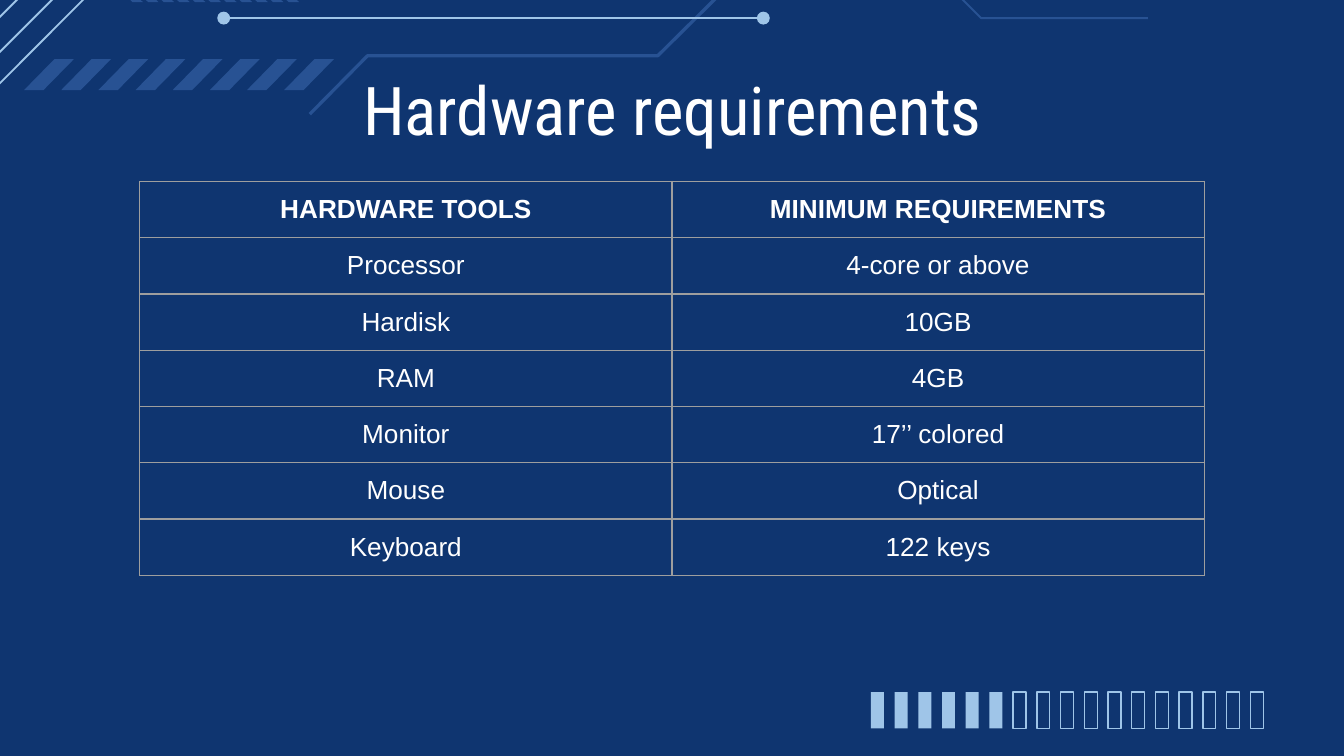
from collections import namedtuple

from lxml.etree import SubElement
from pptx import Presentation
from pptx.dml.color import RGBColor
from pptx.enum.shapes import MSO_CONNECTOR as Link, MSO_SHAPE as Shape
from pptx.enum.text import MSO_ANCHOR as Anchor, PP_ALIGN as Align
from pptx.oxml import parse_xml
from pptx.oxml.ns import nsdecls, qn
from pptx.util import Inches, Pt

# The slide is a grid of square units, 100 columns by 56.25 rows.
UNIT = Inches(0.1)
COLUMNS, ROWS = 100, 56.25
NAVY, BLUE, SKY, GREY, WHITE = "0F3570", "285293", "9FC5E8", "9E9E9E", "FFFFFF"
Box = namedtuple("Box", "left top width height")

HARDWARE = [
    ("HARDWARE TOOLS", "MINIMUM REQUIREMENTS"),
    ("Processor", "4-core or above"),
    ("Hardisk", "10GB"),
    ("RAM", "4GB"),
    ("Monitor", "17’’ colored"),
    ("Mouse", "Optical"),
    ("Keyboard", "122 keys"),
]


def color(value):
    return RGBColor.from_string(value)


def units(*values):
    return [round(value * UNIT) for value in values]


def set_line(shape, value, points):
    shape.line.color.rgb = color(value)
    shape.line.width = Pt(points)


def add_filled(page, kind, box, value):
    shape = page.shapes.add_shape(kind, *units(*box))
    shape.shadow.inherit = False
    shape.fill.solid()
    shape.fill.fore_color.rgb = color(value)
    shape.line.fill.background()
    return shape


def add_row(page, kind, box, count, width, value):
    """Spread equal shapes evenly from the left to the right edge of the box."""
    step = (box.width - width) / (count - 1)
    return [
        add_filled(page, kind, Box(box.left + i * step, box.top, width, box.height), value)
        for i in range(count)
    ]


def add_straight(page, start, end, value, points):
    line = page.shapes.add_connector(Link.STRAIGHT, *units(*start, *end))
    set_line(line, value, points)
    SubElement(line._element.spPr, qn("a:effectLst"))


def add_bent(page, corners, value, points):
    places = [units(*corner) for corner in corners]
    builder = page.shapes.build_freeform(*places[0])
    builder.add_line_segments(places[1:], close=False)
    shape = builder.convert_to_shape()
    shape.shadow.inherit = False
    shape.fill.background()
    set_line(shape, value, points)


def add_traces(page, box):
    """Circuit-like lines along the top, some running past the slide's edges."""
    def at(x, y):
        return box.left + x, box.top + y

    bends = [
        ([(-1.9, 8.1), (12.7, -6.55), (25.9, -6.55), (31.4, -1.05),
          (44.9, -1.05), (52.9, -9.05), (60.4, -9.05)], SKY, 1),
        ([(23.05, 8.5), (27.35, 4.15), (48.95, 4.15), (54.65, -1.5), (64.6, -1.5)], BLUE, 1.75),
        ([(58.5, -3.8), (67.85, -3.8), (73, 1.35), (85.4, 1.35)], BLUE, 1),
    ]
    for corners, value, points in bends:
        add_bent(page, [at(*corner) for corner in corners], value, points)

    for x, y in [(-4.35, 8.2), (-6.15, 7.4)]:
        add_straight(page, at(x, y), at(x + 14.8, y - 14.8), SKY, 1)

    ends = [at(16.65, 1.35), at(56.8, 1.35)]
    add_straight(page, *ends, SKY, 1)
    for x, y in ends:
        add_filled(page, Shape.OVAL, Box(x - 0.48, y - 0.48, 0.96, 0.96), SKY)


def add_hatching(page, box):
    for stripe in add_row(page, Shape.PARALLELOGRAM, box, 8, 3.7, BLUE):
        stripe.adjustments[0] = 0.98


def add_chevrons(page, box):
    for chevron in add_row(page, Shape.CHEVRON, box, 11, 1.93, BLUE):
        chevron.adjustments[0] = 0.6
        chevron.rotation = 180


def add_progress(page, box):
    bars = add_row(page, Shape.RECTANGLE, box, 17, 0.97, SKY)
    for bar in bars[6:]:
        bar.fill.background()
        set_line(bar, SKY, 0.75)


def write(frame, text, size, font, bold=False):
    para = frame.paragraphs[0]
    para.text = text
    para.alignment = Align.CENTER
    para.font.size = Pt(size)
    para.font.name = font
    para.font.bold = bold
    para.font.color.rgb = color(WHITE)


def add_title(page, box, text):
    frame = page.shapes.add_textbox(*units(*box)).text_frame
    frame.word_wrap = True
    frame.vertical_anchor = Anchor.TOP
    frame.margin_left = frame.margin_right = frame.margin_top = frame.margin_bottom = 0
    write(frame, text, 36, "Roboto Condensed")


def set_borders(cell, value, points):
    for place, side in enumerate("LRTB"):
        border = parse_xml(
            f'<a:ln{side} {nsdecls("a")} w="{Pt(points)}"><a:solidFill>'
            f'<a:srgbClr val="{value}"/></a:solidFill></a:ln{side}>'
        )
        cell._tc.get_or_add_tcPr().insert(place, border)


def add_hardware_table(page, box, rows):
    table = page.shapes.add_table(len(rows), len(rows[0]), *units(*box)).table
    table.first_row = table.horz_banding = False
    for i, row in enumerate(rows):
        for j, text in enumerate(row):
            cell = table.cell(i, j)
            cell.fill.background()
            cell.vertical_anchor = Anchor.MIDDLE
            cell.margin_left = cell.margin_right = Inches(0.1)
            cell.margin_top = cell.margin_bottom = Inches(0.09)
            write(cell.text_frame, text, 14, "Arial", bold=i == 0)
            set_borders(cell, GREY, 0.75)


def main():
    deck = Presentation()
    deck.slide_width, deck.slide_height = units(COLUMNS, ROWS)
    page = deck.slides.add_slide(deck.slide_layouts[6])
    page.background.fill.solid()
    page.background.fill.fore_color.rgb = color(NAVY)

    add_traces(page, Box(0, 0, COLUMNS, 9))
    add_hatching(page, Box(1.8, 4.4, 23.05, 2.3))
    add_chevrons(page, Box(8.7, -1.95, 13.55, 2.1))
    add_progress(page, Box(64.8, 51.5, 29.2, 2.7))
    add_title(page, Box(7.9, 5.1, 84.3, 5.3), "Hardware requirements")
    add_hardware_table(page, Box(10.4, 13.5, 79.2, 29.3), HARDWARE)
    deck.save("out.pptx")


if __name__ == "__main__":
    main()
